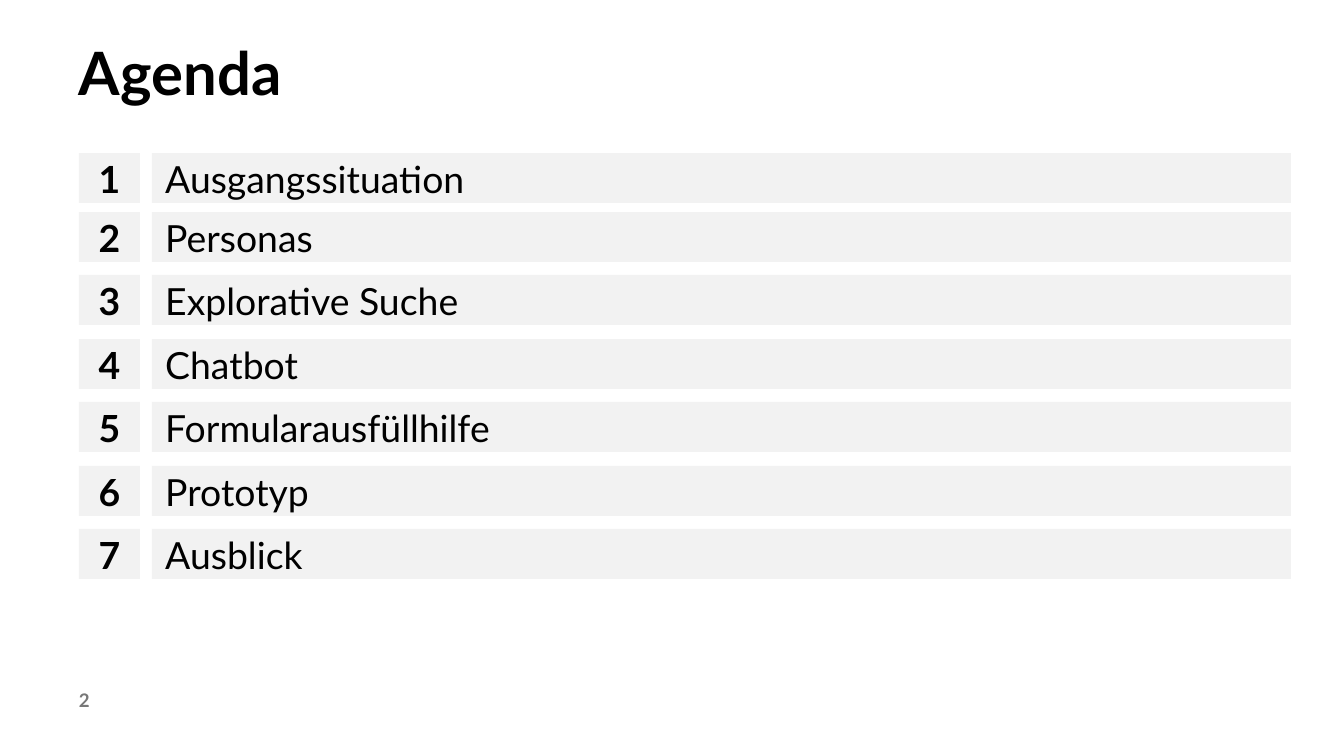
from dataclasses import dataclass

from pptx import Presentation
from pptx.dml.color import RGBColor
from pptx.enum.shapes import MSO_SHAPE
from pptx.enum.text import MSO_ANCHOR, MSO_AUTO_SIZE, PP_ALIGN
from pptx.slide import Slide
from pptx.text.text import TextFrame
from pptx.util import Emu, Pt

PX_PER_INCH = 134.4
FONT = "Lato"
BLACK = "000000"
GREY = "787878"
BAND = "F2F2F2"

LEFT = 79
ROW_HEIGHT = 50
NUMBER_WIDTH = 61
TOPIC_LEFT = 152
TOPIC_WIDTH = 1139
FIRST_TOP = 153
SECOND_TOP = 212
LAST_TOP = 529

TOPICS = [
    "Ausgangssituation",
    "Personas",
    "Explorative Suche",
    "Chatbot",
    "Formularausfüllhilfe",
    "Prototyp",
    "Ausblick",
]


@dataclass(frozen=True)
class AgendaRow:
    number: int
    topic: str
    top: int


def px(length: int) -> Emu:
    return Emu(round(length * 914400 / PX_PER_INCH))


def color(value: str) -> RGBColor:
    return RGBColor.from_string(value)


def write(frame: TextFrame, text: str, size: int, bold: bool, ink: str = BLACK,
          align: PP_ALIGN = PP_ALIGN.LEFT) -> None:
    frame.text = text
    frame.word_wrap = True
    paragraph = frame.paragraphs[0]
    paragraph.alignment = align
    font = paragraph.runs[0].font
    font.name = FONT
    font.size = Pt(size)
    font.bold = bold
    font.color.rgb = color(ink)


def clear_margins(frame: TextFrame) -> None:
    frame.margin_left = frame.margin_top = 0
    frame.margin_right = frame.margin_bottom = 0


def draw_band(slide: Slide, left: int, top: int, width: int, text: str,
              bold: bool, align: PP_ALIGN) -> None:
    band = slide.shapes.add_shape(
        MSO_SHAPE.RECTANGLE, px(left), px(top), px(width), px(ROW_HEIGHT))
    band.shadow.inherit = False
    band.fill.solid()
    band.fill.fore_color.rgb = color(BAND)
    band.line.fill.background()
    frame = band.text_frame
    frame.vertical_anchor = MSO_ANCHOR.MIDDLE
    write(frame, text, 20, bold, align=align)
    frame.paragraphs[0].line_spacing = Pt(25)
    frame.paragraphs[0].space_after = Pt(5.5)


def draw_row(slide: Slide, row: AgendaRow) -> None:
    draw_band(slide, LEFT, row.top, NUMBER_WIDTH, str(row.number), True, PP_ALIGN.CENTER)
    draw_band(slide, TOPIC_LEFT, row.top, TOPIC_WIDTH, row.topic, False, PP_ALIGN.LEFT)


def row_top(index: int) -> int:
    if index == 0:
        return FIRST_TOP
    return SECOND_TOP + round((LAST_TOP - SECOND_TOP) * (index - 1) / (len(TOPICS) - 2))


def draw_title(slide: Slide, text: str) -> None:
    title = slide.shapes.title
    title.left, title.top, title.width, title.height = px(LEFT), px(44), px(1106), px(66)
    frame = title.text_frame
    clear_margins(frame)
    frame.vertical_anchor = MSO_ANCHOR.TOP
    write(frame, text, 32, True)
    frame.auto_size = MSO_AUTO_SIZE.SHAPE_TO_FIT_TEXT
    frame.paragraphs[0].line_spacing = Pt(34)


def draw_page_number(slide: Slide, number: int) -> None:
    page_number = slide.shapes.add_textbox(px(LEFT), px(689), px(254), px(27))
    clear_margins(page_number.text_frame)
    write(page_number.text_frame, str(number), 10, True, GREY)


def main() -> None:
    presentation = Presentation()
    presentation.slide_width = px(1344)
    presentation.slide_height = px(756)
    slide = presentation.slides.add_slide(presentation.slide_layouts[5])
    draw_title(slide, "Agenda")
    for index, topic in enumerate(TOPICS):
        draw_row(slide, AgendaRow(index + 1, topic, row_top(index)))
    draw_page_number(slide, 2)
    presentation.save("out.pptx")


if __name__ == "__main__":
    main()
